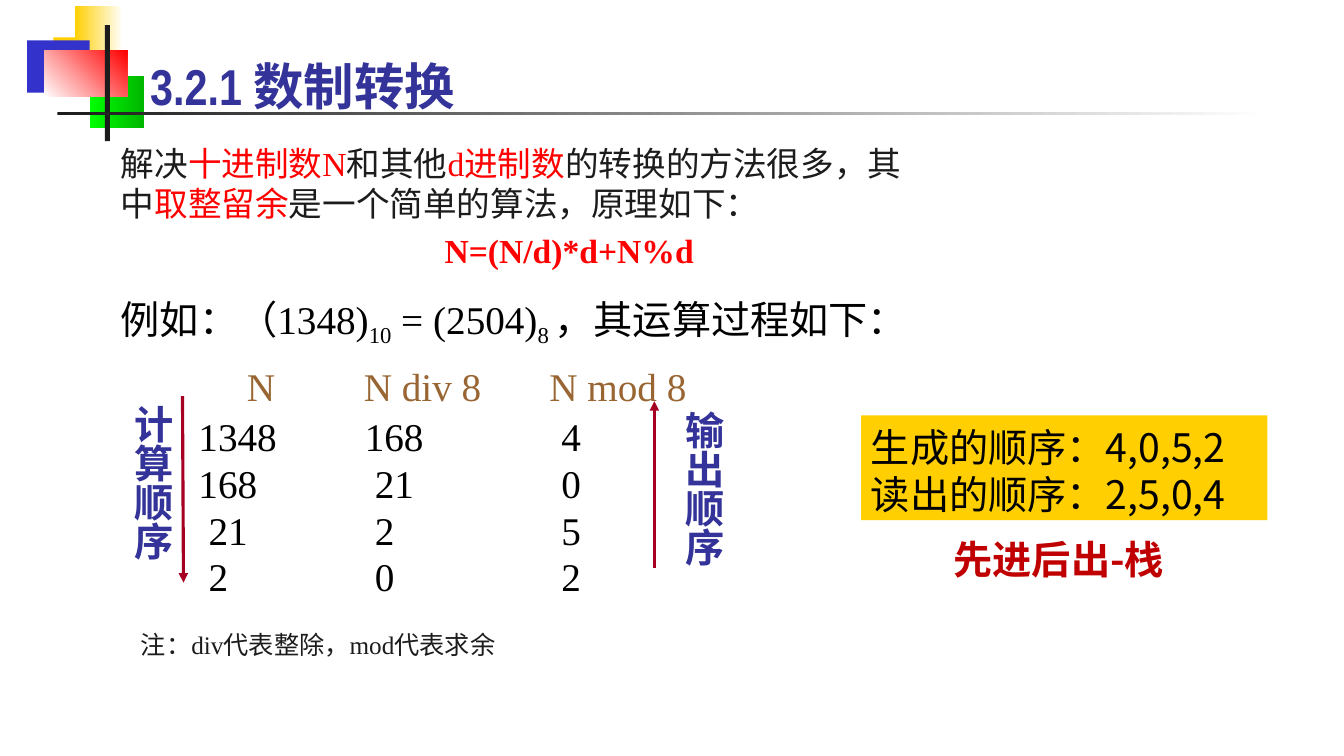
"""Build the slide on converting numbers between bases with a stack."""
from lxml.etree import SubElement
from pptx import Presentation
from pptx.dml.color import RGBColor
from pptx.enum.shapes import MSO_CONNECTOR, MSO_SHAPE
from pptx.enum.text import MSO_ANCHOR, PP_ALIGN
from pptx.oxml.ns import qn
from pptx.util import Inches, Pt

CELL = 0.1
TIMES = "Times New Roman"
NARROW = "Arial Narrow"
SANS = "Noto Sans CJK SC"

BLACK = RGBColor(0, 0, 0)
WHITE = RGBColor(0xFF, 0xFF, 0xFF)
INK = RGBColor(0x1C, 0x1C, 0x1C)
RED = RGBColor(0xFF, 0, 0)
DARK_RED = RGBColor(0xC0, 0, 0)
CRIMSON = RGBColor(0xA5, 0x00, 0x21)
NAVY = RGBColor(0x33, 0x33, 0x99)
BLUE = RGBColor(0x33, 0x33, 0xCC)
GOLD = RGBColor(0xFF, 0xCF, 0x01)
BROWN = RGBColor(0x99, 0x66, 0x33)
LIME = RGBColor(0, 0xFF, 0)
GREEN = RGBColor(0, 0xB6, 0)


def cells(*counts):
    """Turn counts of grid cells into lengths."""
    return [Inches(count * CELL) for count in counts]


def add_block(slide, place, start, end=None, angle=0):
    """Add a rectangle with a plain or a two-colour fill."""
    shape = slide.shapes.add_shape(MSO_SHAPE.RECTANGLE, *cells(*place))
    shape.shadow.inherit = False
    shape.line.fill.background()
    if end is None:
        shape.fill.solid()
        shape.fill.fore_color.rgb = start
    else:
        shape.fill.gradient()
        shape.fill.gradient_angle = angle
        for stop, color in zip(shape.fill.gradient_stops, (start, end)):
            stop.color.rgb = color
    return shape


def add_arrow(slide, start, end):
    """Add a line with a triangle at its end."""
    line = slide.shapes.add_connector(MSO_CONNECTOR.STRAIGHT, *cells(*start, *end))
    line.line.color.rgb = CRIMSON
    line.line.width = Pt(2.25)
    SubElement(line.line._get_or_add_ln(), qn("a:tailEnd"), type="triangle")
    SubElement(line._element.spPr, qn("a:effectLst"))


def add_text_box(slide, place, anchor=MSO_ANCHOR.TOP, vertical=False, wrap=True):
    """Add an empty text box and return its text frame."""
    frame = slide.shapes.add_textbox(*cells(*place)).text_frame
    frame.word_wrap = wrap
    frame.vertical_anchor = anchor
    if vertical:
        frame._txBody.bodyPr.set("vert", "eaVert")
    return frame


def add_paragraph(frame, runs, size, font=TIMES, bold=False, fixed=True,
                  before=0, align=PP_ALIGN.LEFT, tabs=(), indent=0):
    """Write one paragraph from (text, colour, baseline) runs."""
    first = frame.paragraphs[0]
    paragraph = frame.add_paragraph() if first.runs else first
    properties = paragraph._p.get_or_add_pPr()
    if indent:
        properties.set("marL", str(cells(indent)[0]))
    if tabs:
        stops = SubElement(properties, qn("a:tabLst"))
        for position in cells(*tabs):
            SubElement(stops, qn("a:tab"), pos=str(position), algn="l")
    paragraph.alignment = align
    paragraph.space_before = Pt(before)
    if fixed:
        paragraph.line_spacing = Pt(round(size * 1.195, 1))
    for text, color, *baseline in runs:
        run = paragraph.add_run()
        run.text = text
        run.font.size = Pt(size)
        run.font.name = font
        run.font.bold = bold
        run.font.color.rgb = color
        run_properties = run._r.get_or_add_rPr()
        SubElement(run_properties, qn("a:ea"), typeface=SANS)
        if baseline:
            run_properties.set("baseline", str(baseline[0]))


def add_decoration(slide):
    """Draw the coloured blocks and the two rules behind the title."""
    add_block(slide, (5.3, 3.7, 6.4, 5.2), GOLD)
    add_block(slide, (7.4, 0.6, 4.8, 5.2), GOLD, WHITE)
    add_block(slide, (2.7, 4, 6.2, 5.2), BLUE)
    add_block(slide, (8.9, 7.5, 5.4, 5.2), LIME, GREEN)
    add_block(slide, (4.4, 5, 8.2, 4.6), WHITE, RED, 45)
    add_block(slide, (10.4, 2.5, 0.5, 11.5), INK)
    add_block(slide, (5.7, 11.1, 120, 0.3), INK, WHITE)


def add_introduction(slide):
    """Write the title, the principle and its formula."""
    title = add_text_box(slide, (13.9, 5.1, 85, 6.7), MSO_ANCHOR.MIDDLE)
    add_paragraph(title, [("3.2.1 数制转换", NAVY)], 36, NARROW, True, fixed=False)
    body = add_text_box(slide, (11, 13.7, 80.2, 13.8))
    add_paragraph(body, [
        ("解决", INK), ("十进制数N", RED), ("和其他", INK), ("d进制数", RED),
        ("的转换的方法很多，其中", INK), ("取整留余", RED),
        ("是一个简单的算法，原理如下：", INK)], 24)
    add_paragraph(body, [("N=(N/d)*d+N%d", RED)], 24, bold=True, before=5,
                  align=PP_ALIGN.CENTER, indent=10.7)


def add_division_steps(slide):
    """Write the example and its columns of quotients and remainders."""
    frame = add_text_box(slide, (11, 29.1, 90.8, 30.9), MSO_ANCHOR.BOTTOM)
    add_paragraph(frame, [
        ("例如：（1348)", BLACK), ("10", BLACK, -25000), (" = (2504)", BLACK),
        ("8 ", BLACK, -25000), ("，其运算过程如下：", BLACK)], 28)
    add_paragraph(frame, [("\tN\tN div 8\tN mod 8", BROWN)], 28, before=10,
                  tabs=(12.5, 24.1, 42.5))
    number, base = 1348, 8
    while number:
        quotient, remainder = divmod(number, base)
        tabs = (7.7 if number > 99 else 8.7, 24.2 if quotient > 99 else 25.2, 43.7)
        add_paragraph(frame, [(f"\t{number}\t{quotient}\t{remainder}", BLACK)], 28,
                      before=2 if number == 1348 else 0, tabs=tabs)
        number = quotient


def add_orders(slide):
    """Add the arrows and the labels for the two directions."""
    add_arrow(slide, (18.1, 39.3), (18.2, 57.8))
    add_arrow(slide, (64.9, 56.4), (64.9, 39.8))
    for label, place, wrap in (("计算顺序", (11.3, 39.2, 6.7, 16.4), False),
                               ("输出顺序", (65.9, 39.8, 6.7, 18.6), True)):
        frame = add_text_box(slide, place, vertical=True, wrap=wrap)
        add_paragraph(frame, [(label, NAVY)], 28, SANS, True, fixed=False)


def add_conclusion(slide):
    """Add the golden panel, the verdict below it and the note."""
    panel = add_block(slide, (85.4, 41.2, 40.3, 10.4), GOLD).text_frame
    panel.word_wrap = True
    panel.vertical_anchor = MSO_ANCHOR.TOP
    panel.margin_top = Inches(0.08)
    for line in ("生成的顺序：4,0,5,2", "读出的顺序：2,5,0,4"):
        add_paragraph(panel, [(line, BLACK)], 28, SANS)
    verdict = add_text_box(slide, (93.6, 52.6, 26.2, 5.7))
    add_paragraph(verdict, [("先进后出-栈", DARK_RED)], 28, SANS, True)
    note = add_text_box(slide, (13, 62, 37.5, 4))
    add_paragraph(note, [("注：div代表整除，mod代表求余", INK)], 18)


def main():
    """Build and save the slide."""
    presentation = Presentation()
    presentation.slide_width = Inches(13.33)
    presentation.slide_height = Inches(7.5)
    slide = presentation.slides.add_slide(presentation.slide_layouts[6])
    add_decoration(slide)
    add_introduction(slide)
    add_division_steps(slide)
    add_orders(slide)
    add_conclusion(slide)
    presentation.save("out.pptx")


if __name__ == "__main__":
    main()
